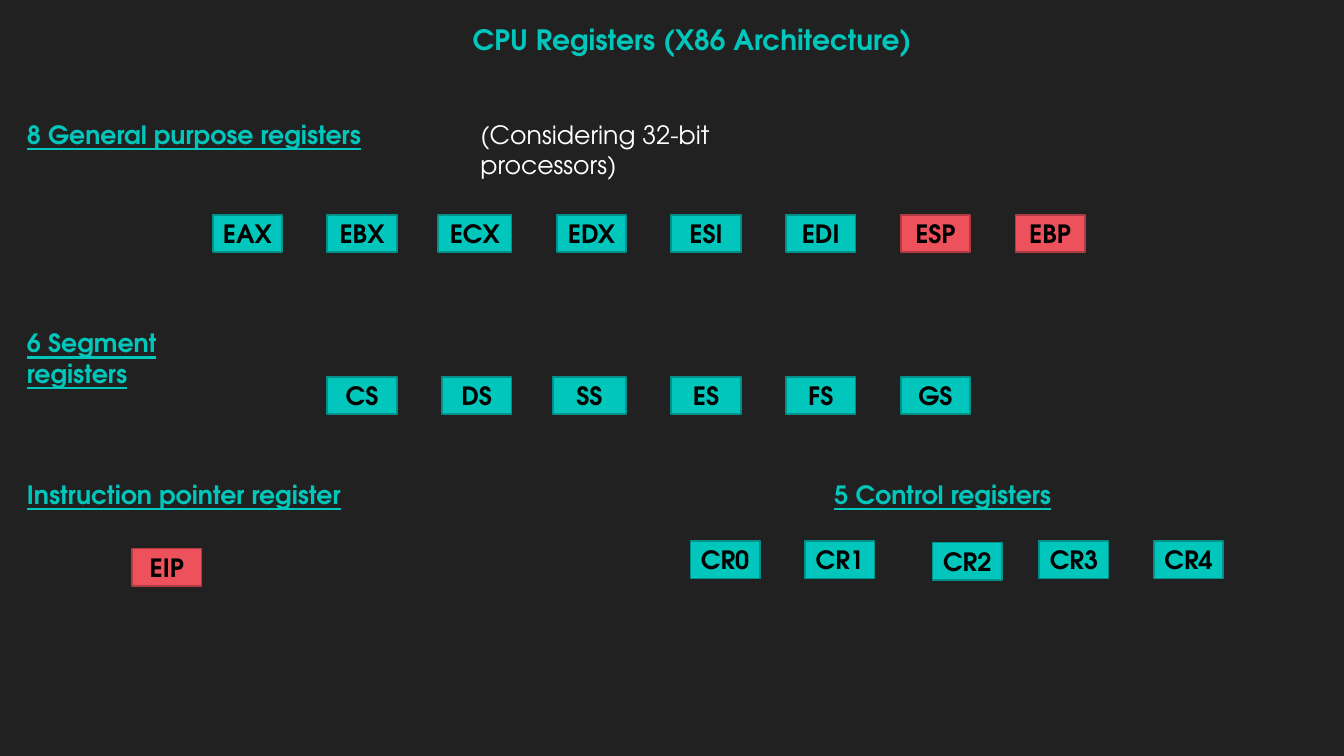
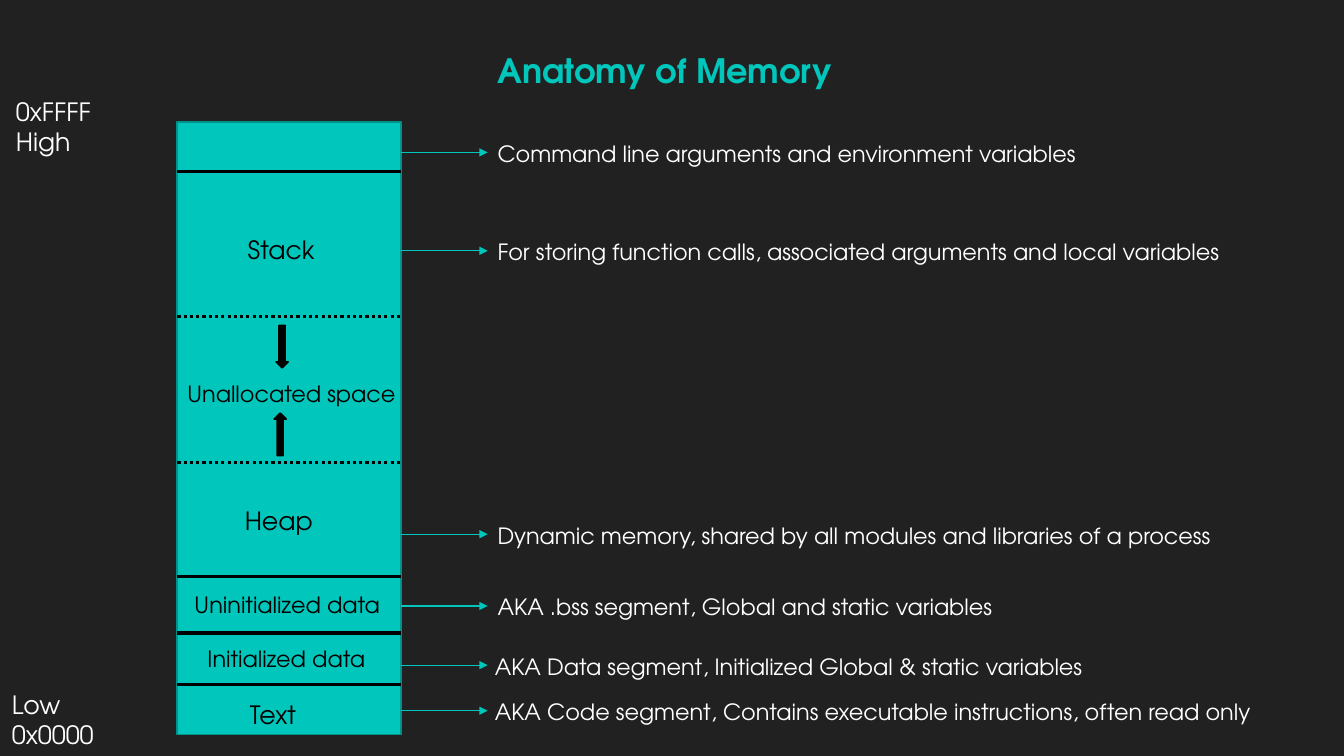
from dataclasses import dataclass

from lxml.etree import SubElement
from pptx import Presentation
from pptx.dml.color import RGBColor
from pptx.enum.dml import MSO_LINE_DASH_STYLE as Dash
from pptx.enum.shapes import MSO_CONNECTOR_TYPE as ConnectorType, MSO_SHAPE as ShapeType
from pptx.enum.text import MSO_ANCHOR as Anchor, MSO_AUTO_SIZE as AutoSize, PP_ALIGN as Align
from pptx.oxml.ns import qn
from pptx.shapes.autoshape import Shape
from pptx.shapes.connector import Connector
from pptx.slide import Slide
from pptx.text.text import TextFrame
from pptx.util import Cm, Pt

FONT = "TeX Gyre Adventor"
BACKGROUND, BLACK, WHITE = "212121", "000000", "FFFFFF"
TEAL, DARK_TEAL = "00C6BB", "00928A"
RED, DARK_RED = "ED515C", "AF3C44"

REGISTER_WIDTH, REGISTER_HEIGHT, REGISTER_PITCH = 1.75, 0.94, 2.89
POINTER_REGISTERS = {"ESP", "EBP", "EIP"}
WIDE_REGISTERS = {"ECX", "SS"}

MEMORY_LEFT, MEMORY_TOP, MEMORY_WIDTH, MEMORY_HEIGHT = 4.47, 3.07, 5.64, 15.44
MEMORY_RIGHT = MEMORY_LEFT + MEMORY_WIDTH
ARROW_END = 12.29


@dataclass(frozen=True)
class Label:
    """Text box; position and width in centimetres, size in points."""
    text: str
    left: float
    top: float
    width: float
    size: int = 18
    color: str = WHITE
    bold: bool = False
    underline: bool = False


@dataclass(frozen=True)
class RegisterRow:
    names: tuple[str, ...]
    left: float
    top: float


@dataclass(frozen=True)
class Divider:
    y: float
    dotted: bool = False


@dataclass(frozen=True)
class Callout:
    text: str
    y: float
    width: float
    left: float = ARROW_END


HEADINGS = (
    ("8 General purpose registers", 0.43, 2.87, 8.92),
    ("6 Segment registers", 0.43, 8.13, 6.45),
    ("Instruction pointer register", 0.43, 11.94, 8.51),
    ("5 Control registers", 20.78, 11.94, 6.05),
)
REGISTER_ROWS = (
    RegisterRow(("EAX", "EBX", "ECX", "EDX", "ESI", "EDI", "ESP", "EBP"), 5.36, 5.41),
    RegisterRow(("CS", "DS", "SS", "ES", "FS", "GS"), 8.25, 9.5),
    RegisterRow(("EIP",), 3.33, 13.82),
    RegisterRow(("CR0", "CR1"), 17.4, 13.64),
    RegisterRow(("CR2",), 23.5, 13.67),
    RegisterRow(("CR3", "CR4"), 26.19, 13.64),
)
DIVIDERS = (
    Divider(4.32), Divider(7.98, dotted=True), Divider(11.66, dotted=True),
    Divider(14.53), Divider(15.95), Divider(17.25),
)
MEMORY_LABELS = (
    Label("Stack", 5.99, 5.79, 2.24, color=BLACK),
    Label("Unallocated space", 4.47, 9.45, 5.99, 16, BLACK),
    Label("Heap", 5.92, 12.6, 2.24, color=BLACK),
    Label("Uninitialized data", 4.65, 14.78, 5.64, 16, BLACK),
    Label("Initialized data", 4.98, 16.13, 4.55, 16, BLACK),
    Label("Text", 6.05, 17.5, 1.73, color=BLACK),
    Label("0xFFFF\nHigh", 0.15, 2.29, 2.41),
    Label("Low\n0x0000", 0.05, 17.25, 2.59),
)
CALLOUTS = (
    Callout("Command line arguments and environment variables", 3.84, 15.47),
    Callout("For storing function calls, associated arguments and local variables", 6.32, 18.97),
    Callout("Dynamic memory, shared by all modules and libraries of a process", 13.46, 19.28),
    Callout("AKA .bss segment, Global and static variables", 15.27, 13.31),
    Callout("AKA Data segment, Initialized Global & static variables", 16.76, 15.54, 12.22),
    Callout("AKA Code segment, Contains executable instructions, often read only",
            17.91, 19.86, 12.22),
)


def rgb(color: str) -> RGBColor:
    return RGBColor.from_string(color)


def write_text(frame: TextFrame, text: str, size: int, color: str, bold: bool = False,
               underline: bool = False, align: Align = Align.LEFT) -> None:
    frame.word_wrap = False
    frame.text = text
    for paragraph in frame.paragraphs:
        paragraph.alignment = align
        font = paragraph.font
        font.name, font.size, font.bold = FONT, Pt(size), bold
        font.underline = underline
        font.color.rgb = rgb(color)


def add_label(slide: Slide, label: Label) -> None:
    line_count = label.text.count("\n") + 1
    height = 0.25 + line_count * label.size * 0.0427
    box = slide.shapes.add_textbox(Cm(label.left), Cm(label.top), Cm(label.width), Cm(height))
    box.text_frame.auto_size = AutoSize.SHAPE_TO_FIT_TEXT
    write_text(box.text_frame, label.text, label.size, label.color, label.bold, label.underline)


def add_title(slide: Slide, text: str, left: float, top: float, width: float, size: int) -> None:
    add_label(slide, Label(text, left, top, width, size, TEAL, bold=True))


def add_box(slide: Slide, kind: ShapeType, left: float, top: float, width: float,
            height: float, fill: str, line: str) -> Shape:
    shape = slide.shapes.add_shape(kind, Cm(left), Cm(top), Cm(width), Cm(height))
    shape.shadow.inherit = False
    shape.fill.solid()
    shape.fill.fore_color.rgb = rgb(fill)
    shape.line.color.rgb = rgb(line)
    shape.line.width = Pt(1.25)
    return shape


def add_horizontal_line(slide: Slide, start: float, end: float, y: float,
                        color: str, weight: float) -> Connector:
    line = slide.shapes.add_connector(ConnectorType.STRAIGHT, Cm(start), Cm(y), Cm(end), Cm(y))
    line.line.color.rgb = rgb(color)
    line.line.width = Pt(weight)
    SubElement(line._element.spPr, qn("a:effectLst"))
    return line


def add_register_row(slide: Slide, row: RegisterRow) -> None:
    for column, name in enumerate(row.names):
        extra = 0.1 if name in WIDE_REGISTERS else 0
        fill, line = (RED, DARK_RED) if name in POINTER_REGISTERS else (TEAL, DARK_TEAL)
        box = add_box(slide, ShapeType.RECTANGLE, row.left + column * REGISTER_PITCH - extra,
                      row.top, REGISTER_WIDTH + extra, REGISTER_HEIGHT, fill, line)
        box.text_frame.vertical_anchor = Anchor.MIDDLE
        write_text(box.text_frame, name, 18, BLACK, bold=True, align=Align.CENTER)


def add_callout(slide: Slide, callout: Callout) -> None:
    """Arrow from the memory column to its explanation."""
    arrow = add_horizontal_line(slide, MEMORY_RIGHT, ARROW_END, callout.y, TEAL, 0.75)
    SubElement(arrow.line._get_or_add_ln(), qn("a:tailEnd"), type="triangle")
    add_label(slide, Label(callout.text, callout.left, callout.y - 0.44, callout.width, 16))


def build_registers(slide: Slide) -> None:
    add_title(slide, "CPU Registers (X86 Architecture)", 11.66, 0.43, 12.09, 20)
    for text, left, top, width in HEADINGS:
        add_label(slide, Label(text, left, top, width, color=TEAL, bold=True, underline=True))
    add_label(slide, Label("(Considering 32-bit processors)", 11.86, 2.87, 9.86))
    for row in REGISTER_ROWS:
        add_register_row(slide, row)


def build_memory(slide: Slide) -> None:
    add_title(slide, "Anatomy of Memory", 12.29, 1.12, 9.37, 24)
    add_box(slide, ShapeType.RECTANGLE, MEMORY_LEFT, MEMORY_TOP, MEMORY_WIDTH, MEMORY_HEIGHT,
            TEAL, DARK_TEAL)
    for divider in DIVIDERS:
        line = add_horizontal_line(slide, MEMORY_LEFT, MEMORY_RIGHT, divider.y, BLACK, 2.25)
        if divider.dotted:
            line.line.dash_style = Dash.ROUND_DOT
    for left, top, rotation in ((6.96, 8.2, 0), (6.91, 10.41, 180)):
        growth = add_box(slide, ShapeType.DOWN_ARROW, left, top, 0.3, 1.07, BLACK, BLACK)
        growth.rotation = rotation
    for label in MEMORY_LABELS:
        add_label(slide, label)
    for callout in CALLOUTS:
        add_callout(slide, callout)


def main() -> None:
    presentation = Presentation()
    presentation.slide_width, presentation.slide_height = Cm(33.87), Cm(19.05)
    background = presentation.slide_master.background.fill
    background.solid()
    background.fore_color.rgb = rgb(BACKGROUND)
    blank = presentation.slide_layouts[6]
    for build in (build_registers, build_memory):
        build(presentation.slides.add_slide(blank))
    presentation.save("out.pptx")


if __name__ == "__main__":
    main()
